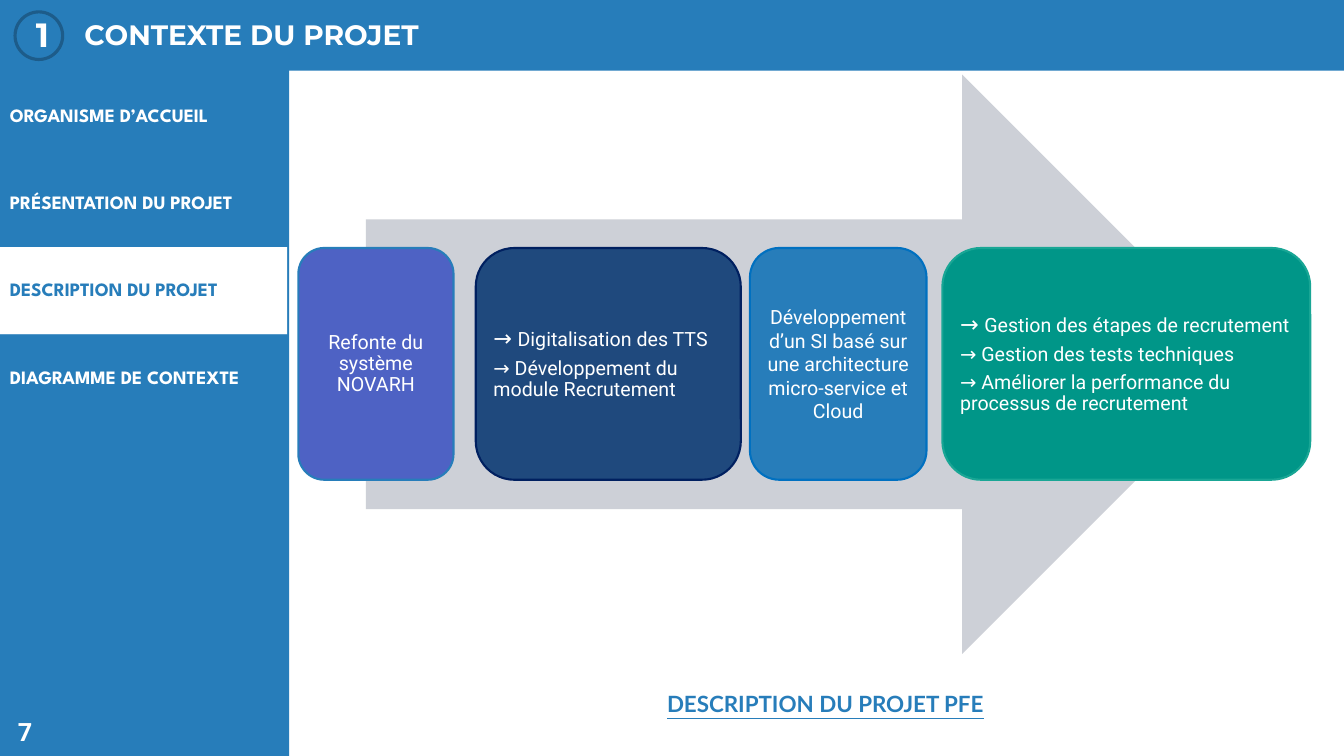
import pptx
import pptx.util
import pptx.dml.color
import pptx.enum.shapes
import pptx.enum.text

Cm = pptx.util.Cm
Pt = pptx.util.Pt
Kind = pptx.enum.shapes.MSO_SHAPE
Align = pptx.enum.text.PP_ALIGN
Middle = pptx.enum.text.MSO_ANCHOR.MIDDLE
BLUE, WHITE = "277DBA", "FFFFFF"


def draw(kind, box, fill=None, line=None, width=1.5):
    """Add a shape, or a text box when kind is None; box is in centimetres."""
    place = [Cm(n) for n in box]
    if kind is None:
        shape = slide.shapes.add_textbox(*place)
    else:
        shape = slide.shapes.add_shape(kind, *place)
        shape.shadow.inherit = False
    for part, color in ((shape.fill, fill), (shape.line.fill, line)):
        if color:
            part.solid()
            part.fore_color.rgb = pptx.dml.color.RGBColor.from_string(color)
        else:
            part.background()
    if line:
        shape.line.width = Pt(width)
    return shape


def write(shape, paras, font, size, color=WHITE, bold=True, align=Align.LEFT,
          space=0.9, before=0, after=0, inset=None):
    """Fill a shape with paragraphs, each a list of run texts."""
    frame = shape.text_frame
    frame.word_wrap = True
    frame.vertical_anchor = Middle
    if inset is not None:
        frame.margin_left = frame.margin_right = Cm(inset)
        frame.margin_top = frame.margin_bottom = Cm(inset)
    for i, parts in enumerate(paras):
        para = frame.add_paragraph() if i else frame.paragraphs[0]
        para.text = parts[0]
        for part in parts[1:]:
            para.add_run().text = part
        para.alignment = align
        para.line_spacing = space
        para.space_before = Pt(before)
        para.space_after = Pt(after)
        for run in para.runs:
            run.font.name = font
            run.font.size = Pt(size)
            run.font.bold = bold
            run.font.color.rgb = pptx.dml.color.RGBColor.from_string(color)


deck = pptx.Presentation()
deck.slide_width, deck.slide_height = Cm(33.87), Cm(19.05)
slide = deck.slides.add_slide(deck.slide_layouts[6])

# Header, sidebar and page number
draw(Kind.RECTANGLE, (0, 0, 33.87, 1.78), BLUE)
draw(Kind.RECTANGLE, (0, 1.52, 7.29, 17.53), BLUE)
draw(Kind.OVAL, (0.38, 0.3, 1.2, 1.2), BLUE, "1D5C8A", 2.25)
badge = draw(None, (0.57, 0.55, 1, 0.76))
write(badge, [["1"]], "Montserrat", 24, align=Align.CENTER, before=10, inset=0)
title = draw(None, (1.88, 0.38, 31.99, 1.07))
write(title, [["CONTEXTE DU PROJET"]], "Montserrat", 20, before=10)
page = draw(None, (0.2, 17.91, 2.67, 1.02))
write(page, [["7"]], "Roboto", 18, space=1)

# Sidebar menu, with the current section in white
menu = ["ORGANISME D’ACCUEIL", "PRÉSENTATION DU PROJET",
        "DESCRIPTION DU PROJET", "DIAGRAMME DE CONTEXTE"]
for i, name in enumerate(menu):
    fill, ink = (WHITE, BLUE) if i == 2 else (BLUE, WHITE)
    entry = draw(Kind.RECTANGLE, (0, 1.83 + 2.2 * i, 7.24, 2.2), fill)
    write(entry, [[name]], "League Spartan", 13.5, ink, before=10)

# Process steps on the arrow
draw(Kind.RIGHT_ARROW, (9.22, 1.88, 22.33, 14.6), "CDD0D7")
steps = [
    (7.52, 3.91, "4E62C4", BLUE, Align.CENTER, 0.9,
     [["Refonte du système NOVARH"]]),
    (11.99, 6.68, "1F497D", "002060", Align.LEFT, 0.9,
     [["→ ", "Digitalisation des TTS"],
      ["→ Développement du module Recrutement"]]),
    (18.9, 4.45, BLUE, "0070C0", Align.CENTER, 1,
     [["Développement d’un SI basé sur une architecture micro-service et Cloud"]]),
    (23.75, 9.27, "009688", "19A695", Align.LEFT, 0.9,
     [["→ ", "Gestion des étapes de recrutement"],
      ["→ Gestion des tests techniques"],
      ["→ Améliorer la performance du processus de recrutement"]]),
]
for left, width, fill, line, align, space, paras in steps:
    step = draw(Kind.ROUNDED_RECTANGLE, (left, 6.25, width, 5.84), fill, line)
    write(step, paras, "Roboto", 14, bold=False, align=align, space=space,
          after=5, inset=0.16)
    if align == Align.LEFT:
        step.text_frame.paragraphs[0].runs[0].font.size = Pt(16)

legend = draw(None, (7.8, 17.29, 26, 0.97))
write(legend, [["DESCRIPTION DU PROJET PFE"]], "Lato", 16, BLUE,
      align=Align.CENTER, before=10)
legend.text_frame.paragraphs[0].runs[0].font.underline = True

deck.save("out.pptx")
